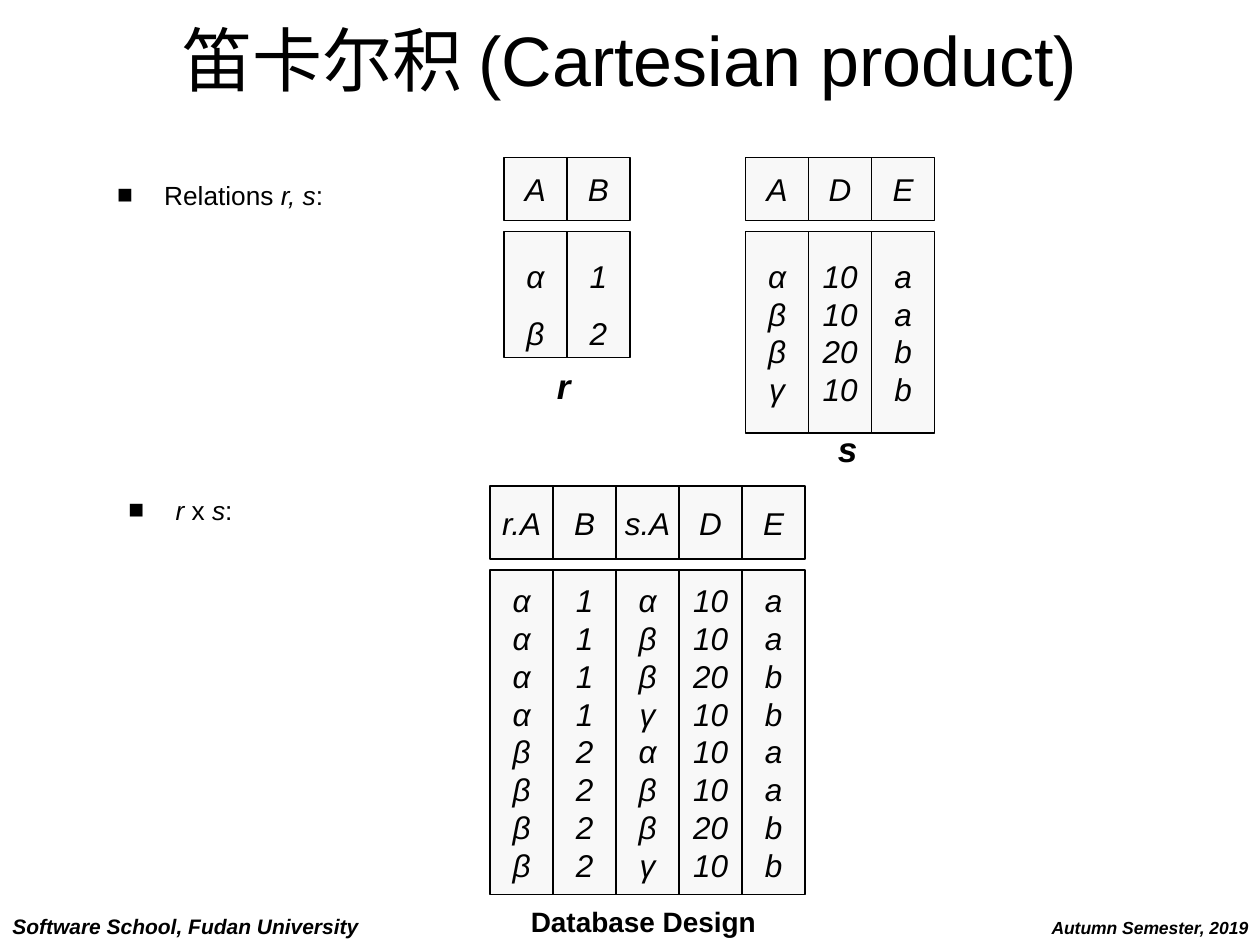
import itertools
from dataclasses import dataclass

import pptx
import pptx.dml.color
import pptx.enum.shapes
import pptx.enum.text
import pptx.oxml
import pptx.oxml.ns
import pptx.util

Cm, Pt = pptx.util.Cm, pptx.util.Pt
ALIGN, ANCHOR = pptx.enum.text.PP_ALIGN, pptx.enum.text.MSO_ANCHOR
FIT = pptx.enum.text.MSO_AUTO_SIZE


@dataclass(frozen=True)
class Theme:
    font: str = "Arial"
    ink: str = "000000"
    cell: str = "F8F8F8"
    line: float = 0.75
    title: int = 40
    name: int = 20
    value: int = 18
    bullet: int = 15
    school: int = 12
    course: int = 16
    term: int = 10


THEME = Theme()
BOLD, ITALIC, BOTH = {"bold": True}, {"italic": True}, {"bold": True, "italic": True}

# Relation contents
R_ROWS = [("α", "1"), ("β", "2")]
S_ROWS = [("α", "10", "a"), ("β", "10", "a"), ("β", "20", "b"), ("γ", "10", "b")]
RS_ROWS = [r + s for r, s in itertools.product(R_ROWS, S_ROWS)]

# left, top, header height, body height (cm), line spacing, headings, rows
RELATIONS = [
    (10.16, 3.18, 1.27, 2.54, 1.5, ("A", "B"), R_ROWS),
    (9.88, 9.8, 1.47, 6.55, 1.0, ("r.A", "B", "s.A", "D", "E"), RS_ROWS),
    (15.03, 3.18, 1.27, 4.06, 1.0, ("A", "D", "E"), S_ROWS),
]
COLUMN, GAP = 1.27, 0.22

# box (cm), runs
BULLETS = [
    ((2.11, 3.61, 19.53, 0.91), [("Relations ", {}), ("r, s", ITALIC), (":", {})]),
    ((2.34, 9.96, 19.53, 0.91),
     [("r", ITALIC), (" x ", {}), ("s", ITALIC), (":", {})]),
]
BULLET_INDENT = 0.95

# box (cm), text, size, font style, alignment, anchor
LABELS = [
    ((10.97, 7.21, 0.79, 1.12), "r", THEME.name, BOTH, ALIGN.CENTER, ANCHOR.MIDDLE),
    ((16.64, 8.48, 0.89, 1.12), "s", THEME.name, BOTH, ALIGN.CENTER, ANCHOR.MIDDLE),
    ((0, 18.29, 7.49, 0.76), "Software School, Fudan University",
     THEME.school, BOTH, ALIGN.LEFT, ANCHOR.TOP),
    ((10.37, 18.11, 5.2, 0.94), "Database Design",
     THEME.course, BOLD, ALIGN.CENTER, ANCHOR.TOP),
    ((20.93, 18.36, 4.5, 0.69), "Autumn Semester, 2019",
     THEME.term, BOTH, ALIGN.CENTER, ANCHOR.TOP),
]


def rgb(value):
    return pptx.dml.color.RGBColor.from_string(value)


def apply(target, formats):
    for name, value in formats.items():
        setattr(target, name, value)


def add_run(p, text, size, style):
    r = p.add_run()
    r.text = text
    apply(r.font, {"name": THEME.font, "size": Pt(size), **style})
    r.font.color.rgb = rgb(THEME.ink)


def write_lines(sp, lines, size, style, frame, paragraph):
    """Write one single-run paragraph per line."""
    tf = sp.text_frame
    apply(tf, frame)
    for i, line in enumerate(lines):
        p = tf.add_paragraph() if i else tf.paragraphs[0]
        apply(p, paragraph)
        add_run(p, line, size, style)


def add_textbox(slide, box):
    return slide.shapes.add_textbox(*map(Cm, box))


def add_cell(slide, box, lines, spacing):
    sp = slide.shapes.add_shape(
        pptx.enum.shapes.MSO_SHAPE.RECTANGLE, *map(Cm, box))
    sp.shadow.inherit = False
    sp.fill.solid()
    sp.fill.fore_color.rgb = rgb(THEME.cell)
    sp.line.color.rgb = rgb(THEME.ink)
    sp.line.width = Pt(THEME.line)
    write_lines(sp, lines, THEME.value, ITALIC,
                {"word_wrap": False, "vertical_anchor": ANCHOR.MIDDLE},
                {"alignment": ALIGN.CENTER, "line_spacing": spacing})


def add_relation(slide, left, top, head, body, spacing, headings, rows):
    """Draw each column as a heading cell above one tall cell of values."""
    for i, (heading, values) in enumerate(zip(headings, zip(*rows))):
        x = left + i * COLUMN
        add_cell(slide, (x, top, COLUMN, head), [heading], 1.0)
        add_cell(slide, (x, top + head + GAP, COLUMN, body), values, spacing)


def add_bullet(slide, box, runs):
    tf = add_textbox(slide, box).text_frame
    tf.word_wrap = True
    p = tf.paragraphs[0]
    p.line_spacing = 0.8
    props = p._p.get_or_add_pPr()
    props.set("marL", str(Cm(BULLET_INDENT)))
    props.set("indent", str(-Cm(BULLET_INDENT)))
    ns = pptx.oxml.ns.nsdecls("a")
    for xml in (
        f'<a:buClr {ns}><a:srgbClr val="{THEME.ink}"/></a:buClr>',
        f'<a:buFont {ns} typeface="{THEME.font}"/>',
        f'<a:buChar {ns} char="■"/>',
    ):
        props.append(pptx.oxml.parse_xml(xml))
    for text, style in runs:
        add_run(p, text, THEME.bullet, style)


def main():
    prs = pptx.Presentation()
    prs.slide_width, prs.slide_height = Cm(25.4), Cm(19.05)
    slide = prs.slides.add_slide(prs.slide_layouts[6])

    write_lines(add_textbox(slide, (1.27, 0, 22.86, 2.34)),
                ["笛卡尔积 (Cartesian product)"], THEME.title, {},
                {"word_wrap": True, "vertical_anchor": ANCHOR.MIDDLE},
                {"alignment": ALIGN.CENTER})
    for box, runs in BULLETS:
        add_bullet(slide, box, runs)
    for relation in RELATIONS:
        add_relation(slide, *relation)
    for box, text, size, style, align, anchor in LABELS:
        write_lines(add_textbox(slide, box), [text], size, style,
                    {"word_wrap": False, "vertical_anchor": anchor,
                     "auto_size": FIT.SHAPE_TO_FIT_TEXT},
                    {"alignment": align})
    prs.save("out.pptx")


if __name__ == "__main__":
    main()
